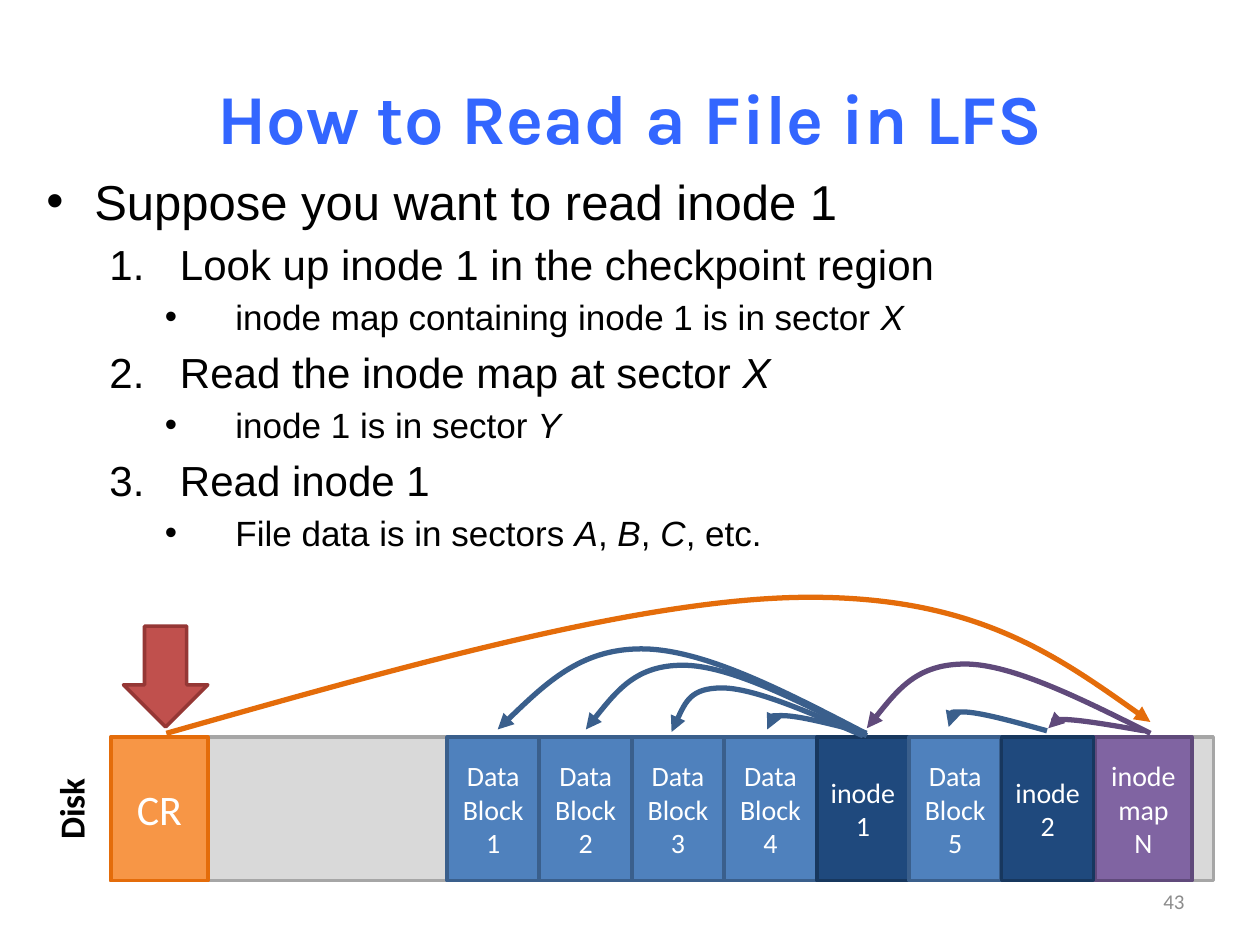
import pptx
import pptx.dml.color
import pptx.enum.shapes
import pptx.enum.text
import pptx.oxml
import pptx.oxml.ns
import pptx.util
import lxml.etree

RGBColor = pptx.dml.color.RGBColor
MSO_SHAPE = pptx.enum.shapes.MSO_SHAPE
PP_ALIGN = pptx.enum.text.PP_ALIGN
MSO_ANCHOR = pptx.enum.text.MSO_ANCHOR
Inches = pptx.util.Inches
Pt = pptx.util.Pt
qn = pptx.oxml.ns.qn

TITLE_BLUE = RGBColor(0x33, 0x66, 0xFF)
BLACK = RGBColor(0, 0, 0)
WHITE = RGBColor(0xFF, 0xFF, 0xFF)
NUMBER_GRAY = RGBColor(0x8C, 0x8C, 0x8C)
DISK_FILL = RGBColor(0xD9, 0xD9, 0xD9)
DISK_LINE = RGBColor(0xA6, 0xA6, 0xA6)
DATA_FILL = RGBColor(0x4F, 0x81, 0xBD)
DATA_LINE = RGBColor(0x3A, 0x5F, 0x8C)
INODE_FILL = RGBColor(0x1F, 0x49, 0x7D)
INODE_LINE = RGBColor(0x17, 0x37, 0x5E)
MAP_FILL = RGBColor(0x80, 0x64, 0xA2)
MAP_LINE = RGBColor(0x60, 0x4A, 0x7B)
REGION_FILL = RGBColor(0xF7, 0x96, 0x46)
REGION_LINE = RGBColor(0xE4, 0x6C, 0x0A)
ARROW_FILL = RGBColor(0xC0, 0x50, 0x4D)
ARROW_LINE = RGBColor(0x95, 0x37, 0x35)

# Disk grid, in inches
DISK_LEFT, DISK_TOP, DISK_WIDTH, DISK_HEIGHT = 0.88, 5.85, 8.75, 1.14
FIRST_BLOCK, COLUMN, WIDE_COLUMN = 3.55, 0.73, 0.77
COLUMN_STEP = (7.95 - FIRST_BLOCK) / 6

# Per outline level: text indent, hanging indent, size, bullet
LEVELS = [
    (0.38, 0.38, 28, "bullet"),
    (1.06, 0.56, 24, "number"),
    (1.5, 0.56, 20, "bullet"),
]
# Text between asterisks is italic
OUTLINE = [
    (0, "Suppose you want to read inode 1"),
    (1, "Look up inode 1 in the checkpoint region"),
    (2, "inode map containing inode 1 is in sector *X*"),
    (1, "Read the inode map at sector *X*"),
    (2, "inode 1 is in sector *Y*"),
    (1, "Read inode 1"),
    (2, "File data is in sectors *A*, *B*, *C*, etc."),
]
BLOCKS = [
    ("Data Block 1", DATA_FILL, DATA_LINE),
    ("Data Block 2", DATA_FILL, DATA_LINE),
    ("Data Block 3", DATA_FILL, DATA_LINE),
    ("Data Block 4", DATA_FILL, DATA_LINE),
    ("inode\n1", INODE_FILL, INODE_LINE),
    ("Data Block 5", DATA_FILL, DATA_LINE),
    ("inode\n2", INODE_FILL, INODE_LINE),
]
# Start, end, height of the crest, x of handle, crest and handle, colour
POINTERS = [
    ((6.87, 5.82), (3.95, 5.79), 5.15, (5.58, 5.09, 4.61), DATA_LINE),
    ((6.88, 5.84), (4.65, 5.79), 5.28, (5.79, 5.42, 5.05), DATA_LINE),
    ((6.85, 5.84), (5.33, 5.81), 5.46, (5.98, 5.73, 5.48), DATA_LINE),
    ((6.88, 5.82), (6.09, 5.79), 5.68, (6.34, 6.21, 6.08), DATA_LINE),
    ((8.31, 5.8), (7.53, 5.77), 5.65, (7.77, 7.64, 7.51), DATA_LINE),
    ((9.08, 5.8), (8.32, 5.78), 5.71, (8.56, 8.43, 8.3), MAP_LINE),
    ((9.13, 5.82), (6.88, 5.78), 5.27, (8.03, 7.66, 7.28), MAP_LINE),
]
REGION_POINTER = ((1.32, 5.82), (9.13, 5.73), 4.74, (5.13, 6.43, 7.74), REGION_LINE)


def format_text(text_frame, font_name, size, color, align, bold=False):
    for paragraph in text_frame.paragraphs:
        paragraph.alignment = align
        for run in paragraph.runs:
            run.font.name = font_name
            run.font.size = Pt(size)
            run.font.color.rgb = color
            run.font.bold = bold


def add_label(slide, box, text, font_name, size, color, align,
              anchor=MSO_ANCHOR.MIDDLE, bold=False):
    shape = slide.shapes.add_textbox(*map(Inches, box))
    text_frame = shape.text_frame
    text_frame.word_wrap = True
    text_frame.vertical_anchor = anchor
    text_frame.text = text
    format_text(text_frame, font_name, size, color, align, bold)
    return shape


def add_block(slide, kind, box, fill, line, text="", size=16):
    shape = slide.shapes.add_shape(kind, *map(Inches, box))
    shape.shadow.inherit = False
    shape.fill.solid()
    shape.fill.fore_color.rgb = fill
    shape.line.color.rgb = line
    shape.line.width = Pt(2)
    if text:
        shape.text_frame.text = text
        shape.text_frame.vertical_anchor = MSO_ANCHOR.MIDDLE
        format_text(shape.text_frame, "Calibri", size, WHITE, PP_ALIGN.CENTER)


def set_bullet(paragraph, left, hanging, bullet):
    properties = paragraph._p.get_or_add_pPr()
    properties.set("marL", str(Inches(left)))
    properties.set("indent", str(-Inches(hanging)))
    if bullet == "number":
        lxml.etree.SubElement(properties, qn("a:buAutoNum"), type="arabicPeriod")
    else:
        lxml.etree.SubElement(properties, qn("a:buFont"), typeface="Arial")
        lxml.etree.SubElement(properties, qn("a:buChar"), char="\u2022")


def add_outline(slide, box):
    shape = slide.shapes.add_textbox(*map(Inches, box))
    text_frame = shape.text_frame
    text_frame.word_wrap = True
    for index, (level, text) in enumerate(OUTLINE):
        paragraph = text_frame.paragraphs[0] if index == 0 else text_frame.add_paragraph()
        left, hanging, size, bullet = LEVELS[level]
        paragraph.level = level
        paragraph.space_before = Pt(size * 0.2)
        set_bullet(paragraph, left, hanging, bullet)
        for part, words in enumerate(text.split("*")):
            if words:
                run = paragraph.add_run()
                run.text = words
                run.font.name = "Arial"
                run.font.size = Pt(size)
                run.font.color.rgb = BLACK
                run.font.italic = part % 2 == 1


def add_pointer(slide, start, end, crest, handles, color):
    """Draw an arched arrow from two curves that meet at the crest."""
    handle_in, apex, handle_out = [(x, crest) for x in handles]
    points = [
        start, middle(start, handle_in), handle_in, (apex[0], crest),
        handle_out, middle(handle_out, end), end,
    ]
    points = [(Inches(x), Inches(y)) for x, y in points]
    builder = slide.shapes.build_freeform(*points[0])
    builder.add_line_segments(points[1:], close=False)
    shape = builder.convert_to_shape()
    shape.shadow.inherit = False
    shape.fill.background()
    shape.line.color.rgb = color
    shape.line.width = Pt(3)
    # Turn each three segments into one cubic curve
    outline = next(shape._element.iter(qn("a:path")))
    segments = outline.findall(qn("a:lnTo"))
    for first in range(0, len(segments), 3):
        curve = lxml.etree.SubElement(outline, qn("a:cubicBezTo"))
        for segment in segments[first:first + 3]:
            curve.append(segment[0])
            outline.remove(segment)
    lxml.etree.SubElement(shape.line._get_or_add_ln(), qn("a:tailEnd"), type="triangle")


def middle(first, second):
    return (first[0] + second[0]) / 2, (first[1] + second[1]) / 2


def main():
    presentation = pptx.Presentation()
    presentation.slide_width = Inches(10)
    presentation.slide_height = Inches(7.5)
    slide = presentation.slides.add_slide(presentation.slide_layouts[6])
    rectangle = MSO_SHAPE.RECTANGLE

    # Disk strip and text
    add_block(slide, rectangle, (DISK_LEFT, DISK_TOP, DISK_WIDTH, DISK_HEIGHT),
              DISK_FILL, DISK_LINE)
    add_label(slide, (0.5, 0.3, 9, 1.25), "How to Read a File in LFS", "Karla", 40,
              TITLE_BLUE, PP_ALIGN.CENTER, bold=True)
    add_outline(slide, (0.27, 1.31, 9.49, 3.71))
    add_label(slide, (7.17, 6.95, 2.33, 0.4), "43", "Calibri", 12,
              NUMBER_GRAY, PP_ALIGN.RIGHT)
    disk_label = add_label(slide, (-0.15, 6.2, 1.43, 0.44), "Disk", "Calibri", 20,
                           BLACK, PP_ALIGN.CENTER, MSO_ANCHOR.TOP, True)
    disk_label.rotation = 270

    # Blocks on the disk
    add_block(slide, rectangle, (8.69, DISK_TOP, WIDE_COLUMN, DISK_HEIGHT),
              MAP_FILL, MAP_LINE, "inode\nmap\nN")
    for column, (text, fill, line) in enumerate(BLOCKS):
        left = FIRST_BLOCK + column * COLUMN_STEP
        add_block(slide, rectangle, (left, DISK_TOP, COLUMN, DISK_HEIGHT), fill, line, text)

    # Pointers and checkpoint region
    for pointer in POINTERS:
        add_pointer(slide, *pointer)
    add_block(slide, rectangle, (DISK_LEFT, DISK_TOP, WIDE_COLUMN, DISK_HEIGHT),
              REGION_FILL, REGION_LINE, "CR", 24)
    add_pointer(slide, *REGION_POINTER)
    add_block(slide, MSO_SHAPE.DOWN_ARROW, (0.98, 4.97, 0.67, 0.8), ARROW_FILL, ARROW_LINE)

    presentation.save("out.pptx")


main()
